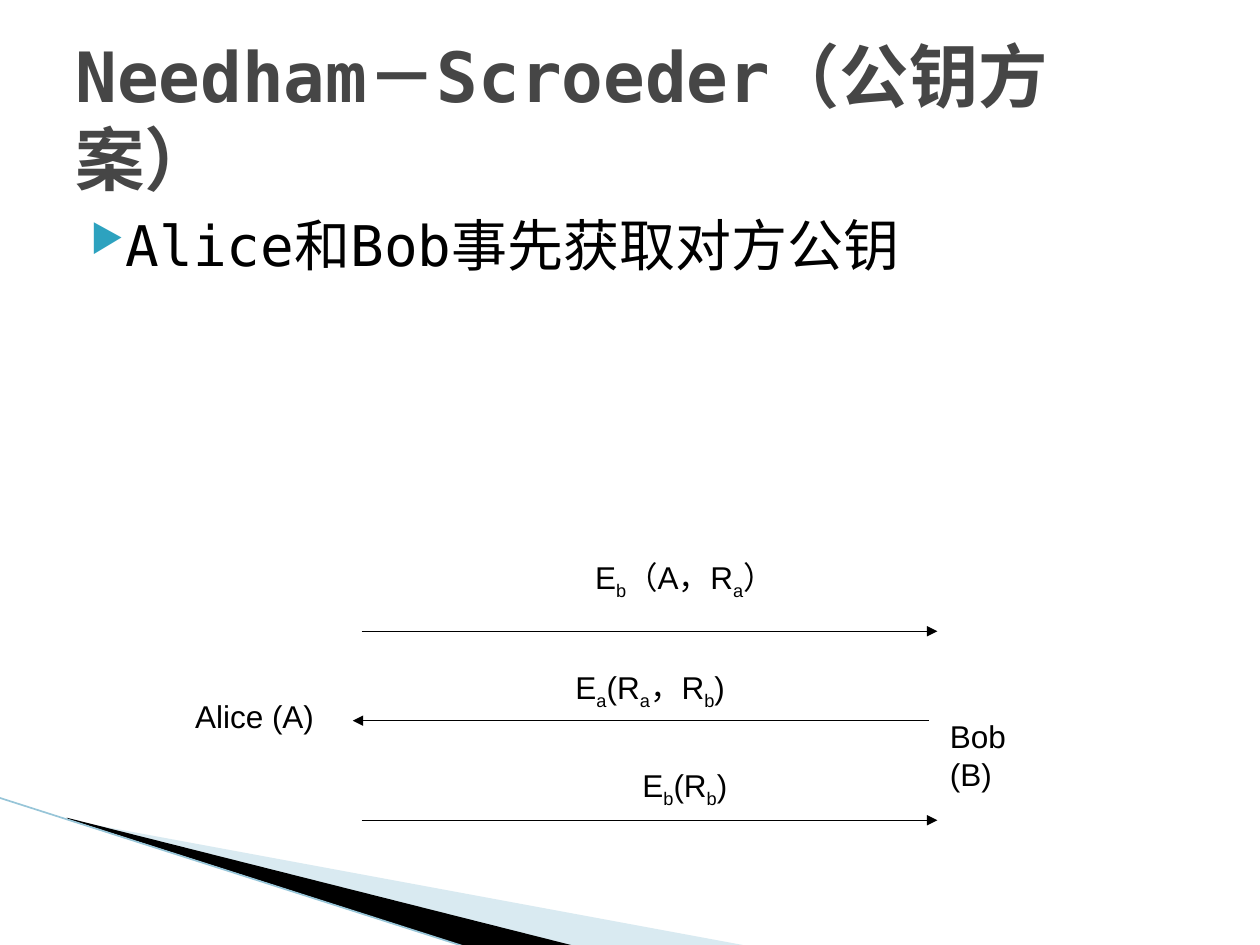
from dataclasses import dataclass

from lxml.etree import SubElement
from pptx import Presentation
from pptx.dml.color import RGBColor
from pptx.enum.shapes import MSO_CONNECTOR
from pptx.enum.text import MSO_ANCHOR, MSO_AUTO_SIZE, PP_ALIGN
from pptx.oxml.ns import qn
from pptx.util import Inches, Pt


@dataclass(frozen=True)
class Theme:
    ink: str = "000000"
    title: str = "464646"
    bullet: str = "2DA2BF"
    pale: str = "A0CBDC"
    edge: str = "97C5D8"
    heading_font: str = "DejaVu Sans Mono"
    label_font: str = "Arial"
    title_size: float = 39.6
    body_size: float = 32
    label_size: float = 18


THEME = Theme()


def add_bullet(para, color):
    properties = para._p.get_or_add_pPr()
    properties.set("marL", str(Inches(0.4)))
    properties.set("indent", str(Inches(-0.28)))
    bullet_color = SubElement(properties, qn("a:buClr"))
    SubElement(bullet_color, qn("a:srgbClr"), val=color)
    SubElement(properties, qn("a:buSzPct"), val="68000")
    SubElement(properties, qn("a:buChar"), char="▶")


def add_text(page, text, left, top, width, height, *, size=THEME.label_size,
             font=THEME.label_font, color=THEME.ink, bold=False, align=PP_ALIGN.LEFT,
             anchor=MSO_ANCHOR.TOP, bullet=None, grow=False):
    """Add a text box; the letter after each underscore becomes a subscript."""
    box = page.shapes.add_textbox(Inches(left), Inches(top), Inches(width), Inches(height))
    frame = box.text_frame
    frame.word_wrap = True
    frame.vertical_anchor = anchor
    frame.auto_size = MSO_AUTO_SIZE.SHAPE_TO_FIT_TEXT if grow else MSO_AUTO_SIZE.NONE
    para = frame.paragraphs[0]
    para.alignment = align
    if bullet:
        add_bullet(para, bullet)
    first, *rest = text.split("_")
    pieces = [(first, False)]
    for part in rest:
        pieces += [(part[0], True), (part[1:], False)]
    for piece, lowered in pieces:
        if not piece:
            continue
        span = para.add_run()
        span.text = piece
        span.font.size = Pt(size)
        span.font.name = font
        span.font.bold = bold
        span.font.color.rgb = RGBColor.from_string(color)
        if lowered:
            span.font._element.set("baseline", "-25000")


def add_line(page, start, end, color=THEME.ink, weight=0.75, arrow=None):
    """Draw a line; arrow is headEnd (at start) or tailEnd (at end)."""
    line = page.shapes.add_connector(MSO_CONNECTOR.STRAIGHT, *map(Inches, start + end))
    line.line.color.rgb = RGBColor.from_string(color)
    line.line.width = Pt(weight)
    if arrow:
        SubElement(line.line._get_or_add_ln(), qn(f"a:{arrow}"), type="triangle")
    SubElement(line._element.spPr, qn("a:effectLst"))


def add_wedge(page, points, color, opacity=None):
    corners = [(Inches(x), Inches(y)) for x, y in points]
    builder = page.shapes.build_freeform(*corners[0], scale=1.0)
    builder.add_line_segments(corners[1:], close=True)
    wedge = builder.convert_to_shape()
    wedge.shadow.inherit = False
    wedge.line.fill.background()
    wedge.fill.solid()
    wedge.fill.fore_color.rgb = RGBColor.from_string(color)
    if opacity:
        swatch = wedge._element.spPr.find(qn("a:solidFill"))[0]
        SubElement(swatch, qn("a:alpha"), val=str(opacity * 1000))


def add_corner_decoration(page):
    add_wedge(page, [(0.55, 6.51), (5.95, 7.51), (4.56, 7.51), (0.55, 6.5)],
              THEME.pale, opacity=40)
    add_wedge(page, [(0.53, 6.49), (4.57, 7.51), (3.72, 7.52), (0.54, 6.5)], THEME.ink)
    add_line(page, (-0.01, 6.33), (3.71, 7.52), THEME.edge, 0.95)


def add_heading(page, left, width):
    add_text(page, "Alice和Bob事先获取对方公钥", left, 1.62, width, 4.95,
             size=THEME.body_size, font=THEME.heading_font, bullet=THEME.bullet)
    add_text(page, "Needham－Scroeder（公钥方案）", left, 0.3, width, 1.25,
             size=THEME.title_size, font=THEME.heading_font, color=THEME.title,
             bold=True, anchor=MSO_ANCHOR.MIDDLE)


def add_exchange(page, left, top):
    """Place the two parties and their three messages from the given corner."""
    for name, x, y, width in [("Alice (A)", 0, 1.1, 1.26), ("Bob (B)", 5.99, 1.26, 1.02)]:
        add_text(page, name, left + x, top + y, width, 0.4, grow=True)

    # message, label left, top and width, arrow left and top, arrow end
    messages = [
        ("E_b（A，R_a）", 2.29, 0, 3.39, 1.42, 0.63, "tailEnd"),
        ("E_a(R_a，R_b)", 1.82, 0.87, 3.78, 1.35, 1.34, "headEnd"),
        ("E_b(R_b)", 2.29, 1.65, 3.39, 1.42, 2.13, "tailEnd"),
    ]
    for text, x, y, width, arrow_x, arrow_y, arrow in messages:
        start = (left + arrow_x, top + arrow_y)
        add_line(page, start, (start[0] + 4.57, start[1]), arrow=arrow)
        add_text(page, text, left + x, top + y, width, 0.4,
                 align=PP_ALIGN.CENTER, grow=True)


def main():
    deck = Presentation()
    deck.slide_width, deck.slide_height = Inches(10), Inches(7.5)
    page = deck.slides.add_slide(deck.slide_layouts[6])
    add_corner_decoration(page)
    add_heading(page, 0.5, 9)
    add_exchange(page, 1.45, 4.38)
    deck.save("out.pptx")


if __name__ == "__main__":
    main()
